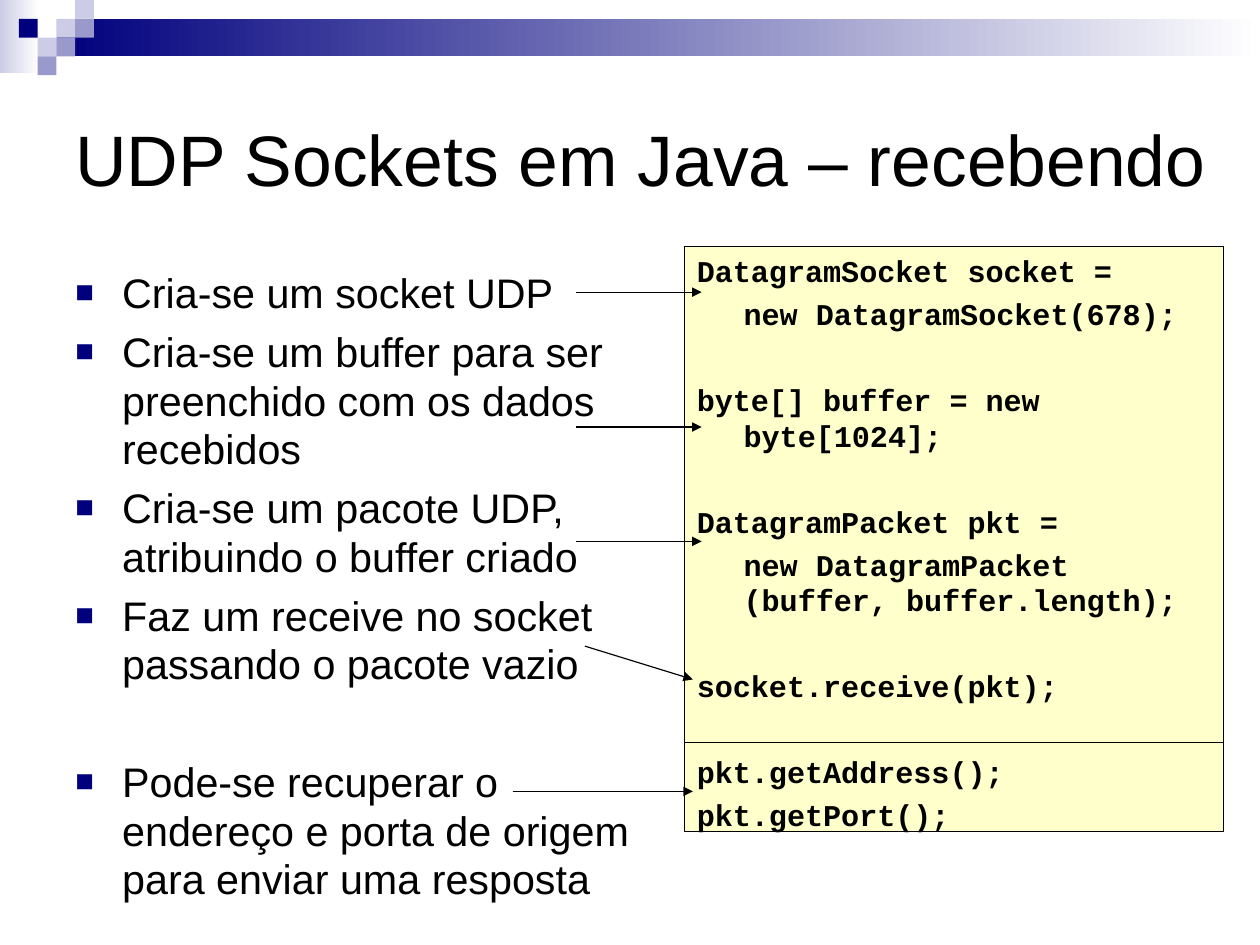
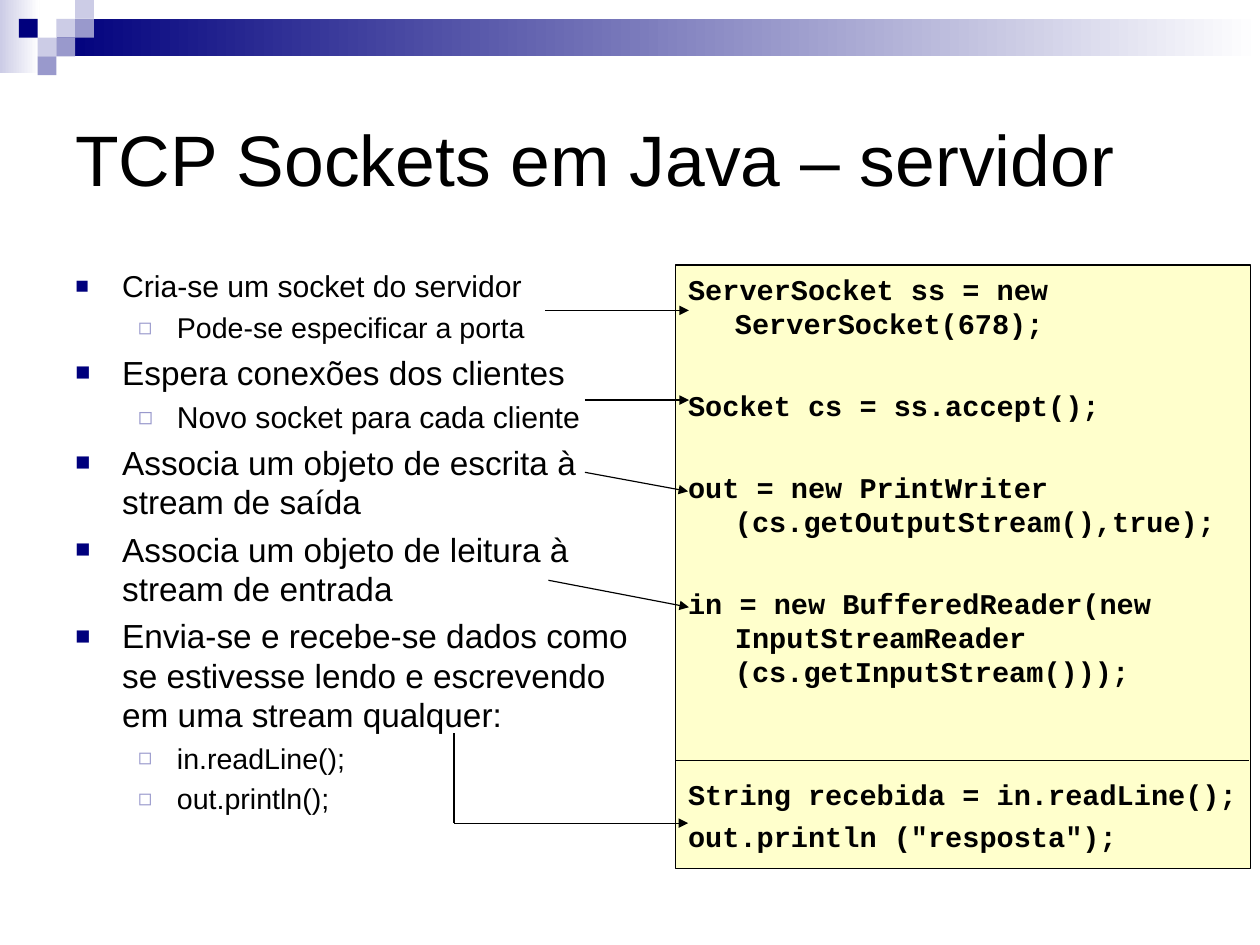
from dataclasses import dataclass

from lxml import etree
from pptx import Presentation
from pptx.dml.color import RGBColor
from pptx.enum.shapes import MSO_CONNECTOR, MSO_SHAPE
from pptx.enum.text import MSO_ANCHOR, MSO_AUTO_SIZE, PP_ALIGN
from pptx.oxml.ns import qn
from pptx.util import Pt

RECT = MSO_SHAPE.RECTANGLE
LINE = MSO_CONNECTOR.STRAIGHT
LEFT = PP_ALIGN.LEFT
TOP, MID = MSO_ANCHOR.TOP, MSO_ANCHOR.MIDDLE
FIXED = MSO_AUTO_SIZE.NONE


@dataclass(frozen=True)
class Theme:
    ink: str = "000000"
    navy: str = "00007D"
    mid: str = "9999CC"
    pale: str = "CCCCE6"
    white: str = "FFFFFF"
    cream: str = "FFFFCC"
    sans: str = "Arial"
    mono: str = "Courier New"
    head: float = 45
    big: float = 26
    main: float = 21
    small: float = 19
    tiny: float = 18
    rule: float = 0.75
    hang: float = 29.5


T = Theme()
# Bullet levels: left margin, hanging indent, sign, colour, size in percent
LEVELS = [(T.hang, T.hang, "■", T.navy, 75), (64, 24.5, "◻", T.mid, 80)]


def write(frame, items, size, font=T.sans, bold=False, bullet=False,
          lead=None, anchor=TOP, top=4.5):
    """Fill a frame with (text, options) items.

    Options: size, level (bullet level), skip (empty lines above),
    flush (no hanging indent).
    """
    frame.word_wrap = True
    frame.auto_size = FIXED
    frame.vertical_anchor = anchor
    frame.margin_left = frame.margin_right = Pt(8)
    frame.margin_top, frame.margin_bottom = Pt(top), Pt(4.5)
    for i, (text, opts) in enumerate(items):
        para = frame.paragraphs[0] if i == 0 else frame.add_paragraph()
        points = opts.get("size", size)
        props = para._p.get_or_add_pPr()
        if bullet:
            margin, hang, sign, tint, scale = LEVELS[opts.get("level", 0)]
            color = etree.SubElement(props, qn("a:buClr"))
            etree.SubElement(color, qn("a:srgbClr"), val=tint)
            etree.SubElement(props, qn("a:buSzPct"), val=str(scale * 1000))
            etree.SubElement(props, qn("a:buFont"), typeface=T.sans)
            etree.SubElement(props, qn("a:buChar"), char=sign)
        else:
            margin = T.hang if lead else 0
            hang = 0 if opts.get("flush") else margin
        props.set("marL", str(Pt(margin)))
        props.set("indent", str(-Pt(hang)))
        para.alignment = LEFT
        if lead:
            pitch, gap = points * lead, points / 4
            para.line_spacing = Pt(round(pitch, 1))
            if i:
                space = gap + opts.get("skip", 0) * (pitch + gap)
                para.space_before = Pt(round(space, 1))
        run = para.add_run()
        run.text = text
        run.font.name, run.font.size, run.font.bold = font, Pt(points), bold
        run.font.color.rgb = RGBColor.from_string(T.ink)


def block(slide, area, fill, fade=False):
    """Add a rectangle without outline; fade runs from fill to white."""
    shape = slide.shapes.add_shape(RECT, *map(Pt, area))
    shape.shadow.inherit = False
    shape.line.fill.background()
    if fade:
        shape.fill.gradient()
        shape.fill.gradient_angle = 0
        for stop, tint in zip(shape.fill.gradient_stops, (fill, T.white)):
            stop.color.rgb = RGBColor.from_string(tint)
    else:
        shape.fill.solid()
        shape.fill.fore_color.rgb = RGBColor.from_string(fill)
    return shape


SLIDES = [
    dict(
        title="UDP Sockets em Java – recebendo",
        width=731.5,
        size=T.big,
        steps=[
            ("Cria-se um socket UDP", {}),
            ("Cria-se um buffer para ser preenchido com os dados recebidos", {}),
            ("Cria-se um pacote UDP, atribuindo o buffer criado", {}),
            ("Faz um receive no socket passando o pacote vazio", {}),
            ("Pode-se recuperar o endereço e porta de origem para enviar "
             "uma resposta", dict(skip=1)),
        ],
        box=(431, 155.5, 340, 368.5),
        type=T.small,
        lead=1.175,
        code=[
            ("DatagramSocket socket =", {}),
            ("new DatagramSocket(678);", dict(flush=True)),
            ("byte[] buffer = new byte[1024];", dict(skip=1)),
            ("DatagramPacket pkt =", dict(skip=1)),
            ("new DatagramPacket (buffer, buffer.length);", dict(flush=True)),
            ("socket.receive(pkt);", dict(skip=1)),
            ("pkt.getAddress();", dict(skip=1)),
            ("pkt.getPort();", {}),
        ],
        lines=[(431, 467.5, 771, 467.5)],
        arrows=[
            (363, 184, 442, 184),
            (363, 269, 442, 269),
            (363, 341, 442, 341),
            (368.5, 407, 436.5, 428),
            (323, 498.5, 436.5, 498.5),
        ],
    ),
    dict(
        title="TCP Sockets em Java – servidor",
        width=714.5,
        size=T.main,
        steps=[
            ("Cria-se um socket do servidor", dict(size=T.small)),
            ("Pode-se especificar a porta", dict(size=T.tiny, level=1)),
            ("Espera conexões dos clientes", {}),
            ("Novo socket para cada cliente", dict(size=T.small, level=1)),
            ("Associa um objeto de escrita à stream de saída", {}),
            ("Associa um objeto de leitura à stream de entrada", {}),
            ("Envia-se e recebe-se dados como se estivesse lendo e "
             "escrevendo em uma stream qualquer:", {}),
            ("in.readLine();", dict(size=T.tiny, level=1)),
            ("out.println();", dict(size=T.tiny, level=1)),
        ],
        box=(425.5, 167, 362.5, 380),
        type=T.tiny,
        lead=1.19,
        code=[
            ("ServerSocket ss = new ServerSocket(678);", {}),
            ("Socket cs = ss.accept();", dict(skip=1)),
            ("out = new PrintWriter (cs.getOutputStream(),true);",
             dict(skip=1)),
            ("in = new BufferedReader(new InputStreamReader "
             "(cs.getInputStream()));", dict(skip=1)),
            ("String recebida = in.readLine();", dict(skip=2)),
            ('out.println ("resposta");', {}),
        ],
        lines=[(425.5, 479, 787, 479), (286, 462, 286, 518.5)],
        arrows=[
            (343.5, 195.5, 434, 195.5),
            (368.5, 252, 434, 252),
            (368.5, 297.5, 433.5, 309.5),
            (345.5, 365.5, 434, 382.5),
            (286, 518.5, 433.5, 518.5),
        ],
    ),
]

deck = Presentation()
deck.slide_width, deck.slide_height = Pt(793.75), Pt(595.25)
layout = deck.slide_layouts[5]
pages = [deck.slides.add_slide(layout) for _ in SLIDES]

# The band and its mosaic are built once and live on the layout
cell = 11.85
mosaic = [(3, 1, T.pale), (4, 0, T.pale), (4, 1, T.mid), (2, 2, T.pale),
          (1, 1, T.navy), (3, 2, T.mid), (2, 3, T.mid)]
decor = [
    block(pages[0], (0, 0, 25, 46), T.pale, fade=True),
    block(pages[0], (35.75, cell, 758, 2 * cell), T.navy, fade=True),
]
for col, row, tint in mosaic:
    area = (col * cell, row * cell, cell, cell)
    decor.append(block(pages[0], area, tint))
for shape in decor:
    layout.shapes.element.append(shape.element)

for page, data in zip(pages, SLIDES):
    title = page.shapes.title
    title.left, title.top = Pt(39.5), Pt(40)
    title.width, title.height = Pt(data["width"]), Pt(119)
    write(title.text_frame, [(data["title"], {})], T.head, anchor=MID)

    body = page.shapes.add_textbox(Pt(39.5), Pt(166.5), Pt(379.5), Pt(415))
    write(body.text_frame, data["steps"], data["size"], bullet=True,
          lead=1.175, top=2.5)

    panel = block(page, data["box"], T.cream)
    panel.line.color.rgb = RGBColor.from_string(T.ink)
    panel.line.width = Pt(T.rule)
    write(panel.text_frame, data["code"], data["type"], font=T.mono,
          bold=True, lead=data["lead"], top=4.25)

    plain = len(data["lines"])
    for i, ends in enumerate(data["lines"] + data["arrows"]):
        link = page.shapes.add_connector(LINE, *map(Pt, ends))
        link.line.color.rgb = RGBColor.from_string(T.ink)
        link.line.width = Pt(T.rule)
        props = link.element.spPr
        if i >= plain:
            stroke = props.find(qn("a:ln"))
            etree.SubElement(stroke, qn("a:tailEnd"), type="triangle")
        etree.SubElement(props, qn("a:effectLst"))

deck.save("out.pptx")
